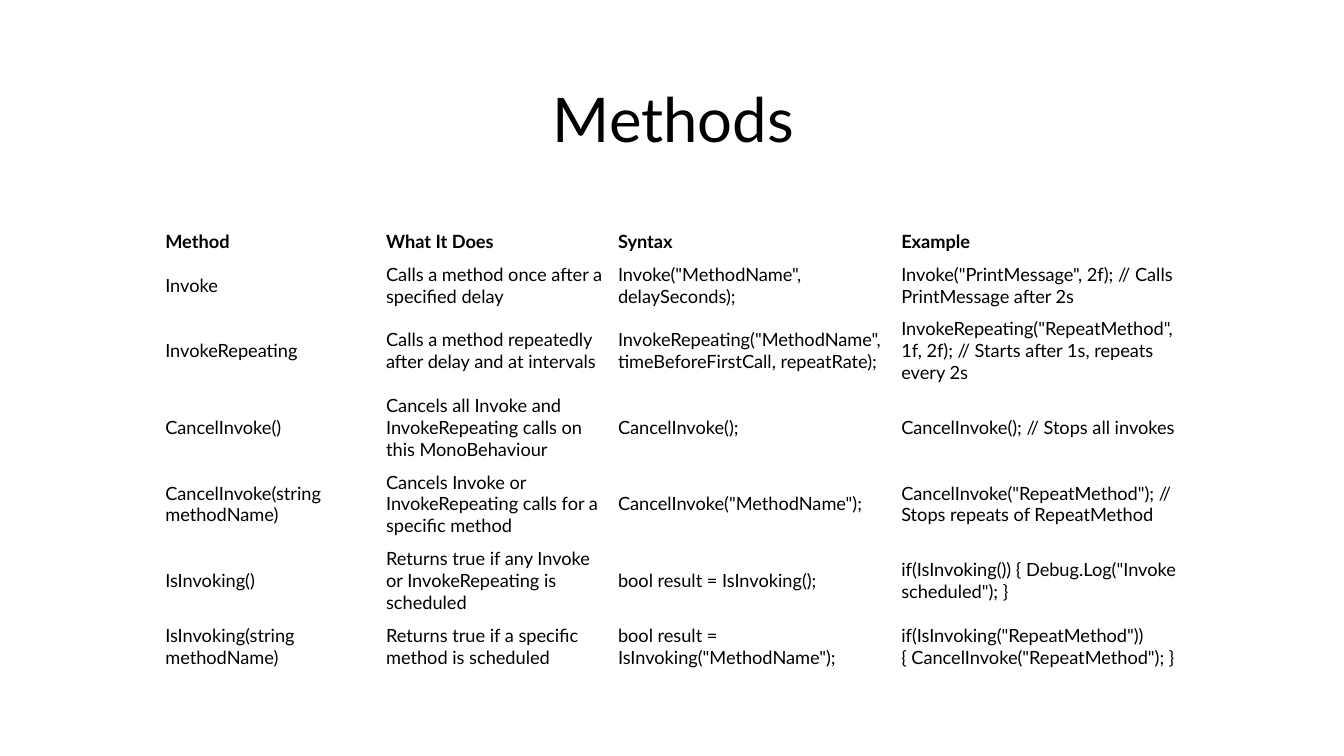
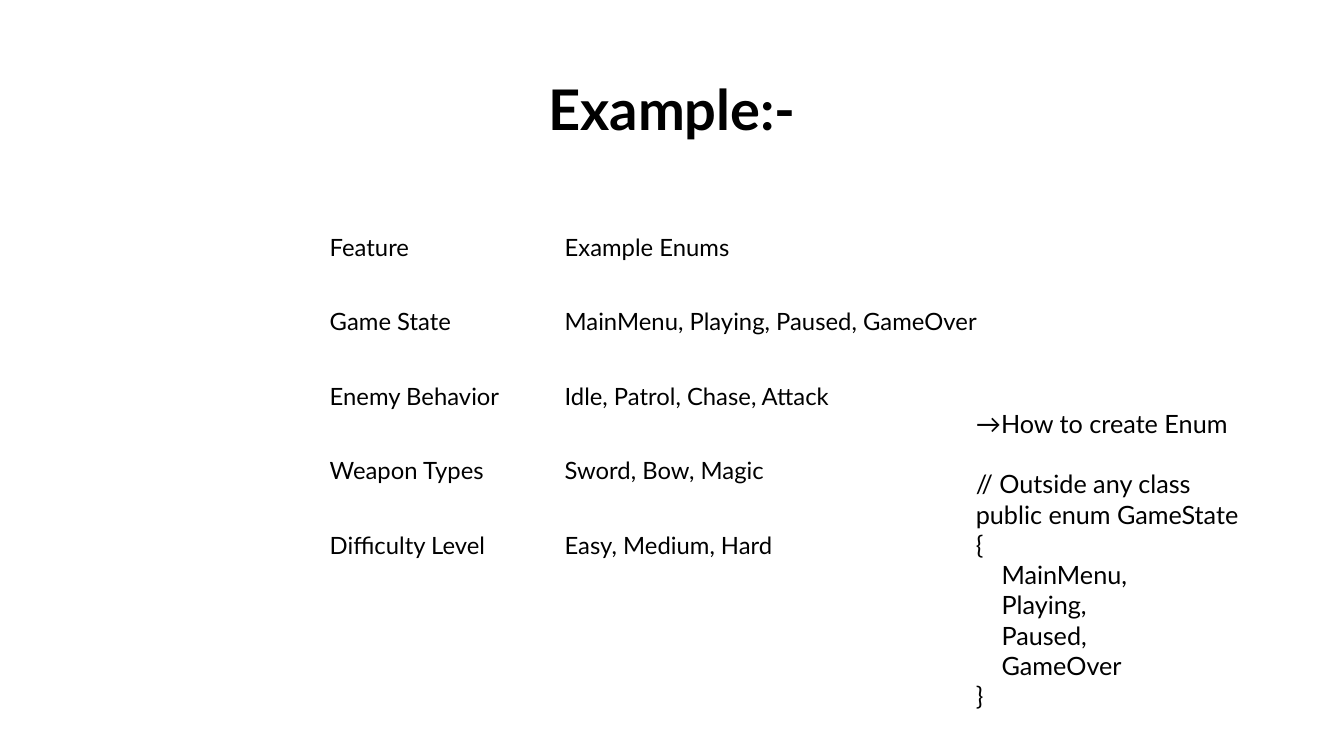
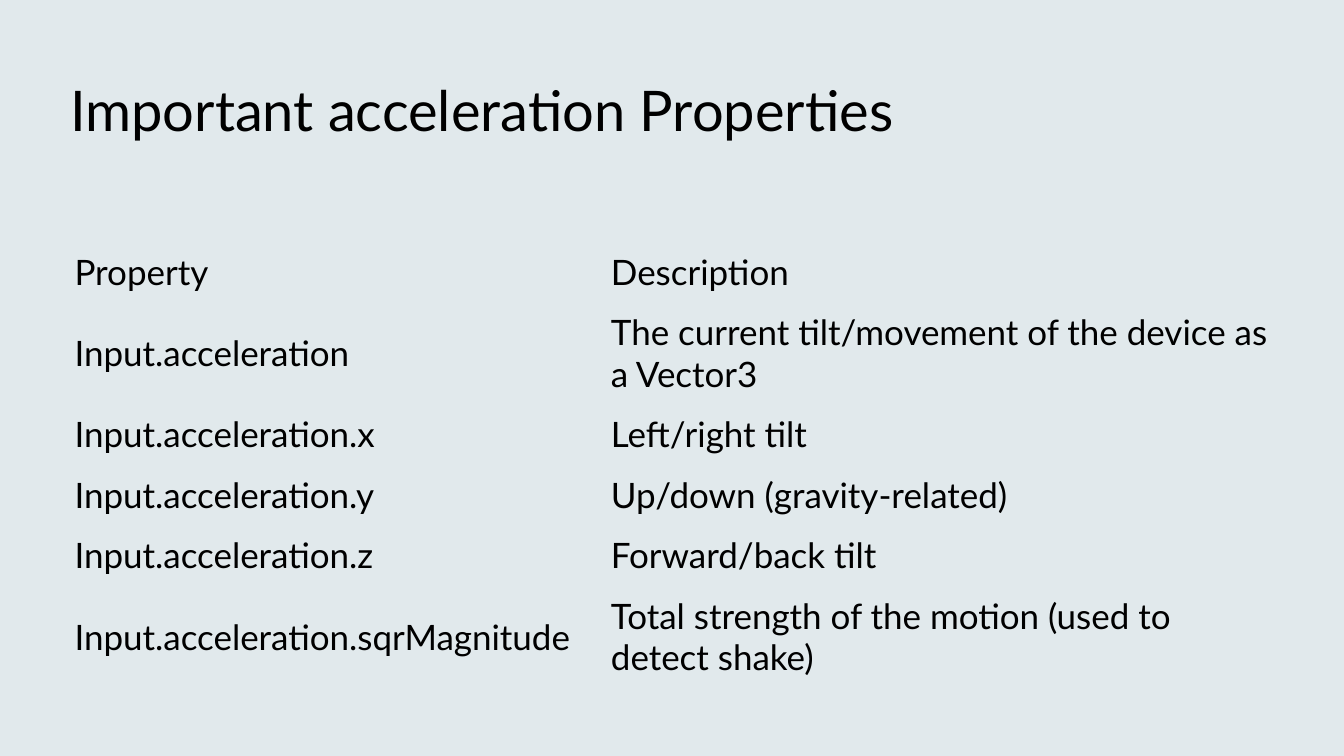
import dataclasses

import lxml.etree
import pptx
import pptx.dml.color
import pptx.enum.shapes
import pptx.enum.text
import pptx.oxml.ns
import pptx.slide
import pptx.text.text
import pptx.util

SCALE = 9144
WIDE, HIGH = 1333, 750
FONT = "Lato"
INK = "000000"
MIST = "F2F2F2"
TEAL = "0B76A0"
PLAIN = "{2D5ABB26-0587-4C30-8999-92F81FD0307C}"
LEFT = pptx.enum.text.PP_ALIGN.LEFT
MID = pptx.enum.text.PP_ALIGN.CENTER
ANCHOR = pptx.enum.text.MSO_ANCHOR


@dataclasses.dataclass
class Box:
    left: int
    top: int
    width: int
    height: int

    def emu(self) -> list[int]:
        return [px(side) for side in (self.left, self.top, self.width, self.height)]


@dataclasses.dataclass
class Title:
    text: str
    box: Box
    size: int
    bold: bool = False
    align: pptx.enum.text.PP_ALIGN = MID
    anchor: pptx.enum.text.MSO_ANCHOR = ANCHOR.MIDDLE


@dataclasses.dataclass
class Grid:
    left: int
    top: int
    cols: list[int]
    rows: list[int]
    cells: list[list[str]]
    size: int
    pad_x: int
    pad_y: int
    bold_head: bool = False


def px(count: int) -> int:
    return pptx.util.Emu(count * SCALE)


def tint(code: str) -> pptx.dml.color.RGBColor:
    return pptx.dml.color.RGBColor.from_string(code)


def style(para: pptx.text.text._Paragraph, size: int, bold: bool = False) -> None:
    for run in para.runs:
        run.font.name = FONT
        run.font.size = pptx.util.Pt(size)
        run.font.bold = bold
        run.font.color.rgb = tint(INK)


def add_title(slide: pptx.slide.Slide, title: Title) -> None:
    frame = slide.shapes.add_textbox(*title.box.emu()).text_frame
    frame.word_wrap = True
    frame.vertical_anchor = title.anchor
    frame.text = title.text
    para = frame.paragraphs[0]
    para.alignment = title.align
    para.line_spacing = 0.9
    style(para, title.size, title.bold)


def add_grid(slide: pptx.slide.Slide, grid: Grid) -> None:
    box = Box(grid.left, grid.top, sum(grid.cols), sum(grid.rows))
    table = slide.shapes.add_table(len(grid.rows), len(grid.cols), *box.emu()).table
    table.first_row = False
    table.horz_banding = False
    table._tbl.tblPr.find(pptx.oxml.ns.qn("a:tableStyleId")).text = PLAIN
    for col, width in zip(table.columns, grid.cols):
        col.width = px(width)
    for row, height in zip(table.rows, grid.rows):
        row.height = px(height)
    for i, line in enumerate(grid.cells):
        for j, text in enumerate(line):
            cell = table.cell(i, j)
            cell.fill.background()
            cell.vertical_anchor = ANCHOR.MIDDLE
            cell.margin_left = cell.margin_right = px(grid.pad_x)
            cell.margin_top = cell.margin_bottom = px(grid.pad_y)
            cell.text_frame.text = text
            style(cell.text_frame.paragraphs[0], grid.size, grid.bold_head and i == 0)


def add_code(slide: pptx.slide.Slide, box: Box, head: str, code: list[str], size: int) -> None:
    frame = slide.shapes.add_textbox(*box.emu()).text_frame
    frame.word_wrap = True
    frame.auto_size = pptx.enum.text.MSO_AUTO_SIZE.SHAPE_TO_FIT_TEXT
    frame.text = "\n".join([head, *code])
    for para in frame.paragraphs:
        style(para, size)
    frame.paragraphs[0].space_after = pptx.util.Pt(size * 1.2)


def add_wash(slide: pptx.slide.Slide, fill: str, alpha: int = 100) -> None:
    kind = pptx.enum.shapes.MSO_SHAPE.RECTANGLE
    shape = slide.shapes.add_shape(kind, *Box(0, 0, WIDE, HIGH).emu())
    shape.shadow.inherit = False
    shape.line.fill.background()
    shape.fill.solid()
    shape.fill.fore_color.rgb = tint(fill)
    if alpha < 100:
        qn = pptx.oxml.ns.qn
        color = next(shape.element.spPr.iter(qn("a:srgbClr")))
        lxml.etree.SubElement(color, qn("a:alpha")).set("val", str(alpha * 1000))


CALLS = Grid(
    157, 223, [219, 230, 281, 290], [33, 54, 76, 76, 76, 76, 54],
    [
        ["Method", "What It Does", "Syntax", "Example"],
        [
            "Invoke",
            "Calls a method once after a specified delay",
            'Invoke("MethodName", delaySeconds);',
            'Invoke("PrintMessage", 2f); // Calls PrintMessage after 2s',
        ],
        [
            "InvokeRepeating",
            "Calls a method repeatedly after delay and at intervals",
            'InvokeRepeating("MethodName", timeBeforeFirstCall, repeatRate);',
            'InvokeRepeating("RepeatMethod", 1f, 2f); // Starts after 1s, repeats every 2s',
        ],
        [
            "CancelInvoke()",
            "Cancels all Invoke and InvokeRepeating calls on this MonoBehaviour",
            "CancelInvoke();",
            "CancelInvoke(); // Stops all invokes",
        ],
        [
            "CancelInvoke(string methodName)",
            "Cancels Invoke or InvokeRepeating calls for a specific method",
            'CancelInvoke("MethodName");',
            'CancelInvoke("RepeatMethod"); // Stops repeats of RepeatMethod',
        ],
        [
            "IsInvoking()",
            "Returns true if any Invoke or InvokeRepeating is scheduled",
            "bool result = IsInvoking();",
            'if(IsInvoking()) { Debug.Log("Invoke scheduled"); }',
        ],
        [
            "IsInvoking(string methodName)",
            "Returns true if a specific method is scheduled",
            'bool result = IsInvoking("MethodName");',
            'if(IsInvoking("RepeatMethod")) { CancelInvoke("RepeatMethod"); }',
        ],
    ],
    size=13, pad_x=7, pad_y=4, bold_head=True,
)

ENUMS = Grid(
    307, 208, [233, 486], [74] * 5,
    [
        ["Feature", "Example Enums"],
        ["Game State", "MainMenu, Playing, Paused, GameOver"],
        ["Enemy Behavior", "Idle, Patrol, Chase, Attack"],
        ["Weapon Types", "Sword, Bow, Magic"],
        ["Difficulty Level", "Easy, Medium, Hard"],
    ],
    size=17, pad_x=20, pad_y=20,
)

CODE = [
    "// Outside any class",
    "public enum GameState",
    "{",
    "    MainMenu,",
    "    Playing,",
    "    Paused,",
    "    GameOver",
    "}",
]

PROPS = Grid(
    60, 240, [532, 681], [60, 101, 60, 60, 60, 101],
    [
        ["Property", "Description"],
        ["Input.acceleration", "The current tilt/movement of the device as a Vector3"],
        ["Input.acceleration.x", "Left/right tilt"],
        ["Input.acceleration.y", "Up/down (gravity-related)"],
        ["Input.acceleration.z", "Forward/back tilt"],
        [
            "Input.acceleration.sqrMagnitude",
            "Total strength of the motion (used to detect shake)",
        ],
    ],
    size=25, pad_x=14, pad_y=7,
)


def main() -> None:
    deck = pptx.Presentation()
    deck.slide_width = px(WIDE)
    deck.slide_height = px(HIGH)
    blank = deck.slide_layouts[6]

    calls = deck.slides.add_slide(blank)
    add_title(calls, Title("Methods", Box(167, 60, 1002, 124), 44))
    add_grid(calls, CALLS)

    enums = deck.slides.add_slide(blank)
    add_title(
        enums,
        Title("Example:-", Box(307, 39, 719, 107), 40, bold=True, anchor=ANCHOR.BOTTOM),
    )
    add_grid(enums, ENUMS)
    add_code(enums, Box(958, 400, WIDE - 958, 313), "→How to create Enum", CODE, 18)

    props = deck.slides.add_slide(blank)
    add_wash(props, MIST)
    add_wash(props, TEAL, alpha=7)
    add_title(
        props,
        Title("Important acceleration Properties", Box(60, 40, 1213, 145), 40, align=LEFT),
    )
    add_grid(props, PROPS)

    deck.save("out.pptx")


if __name__ == "__main__":
    main()
